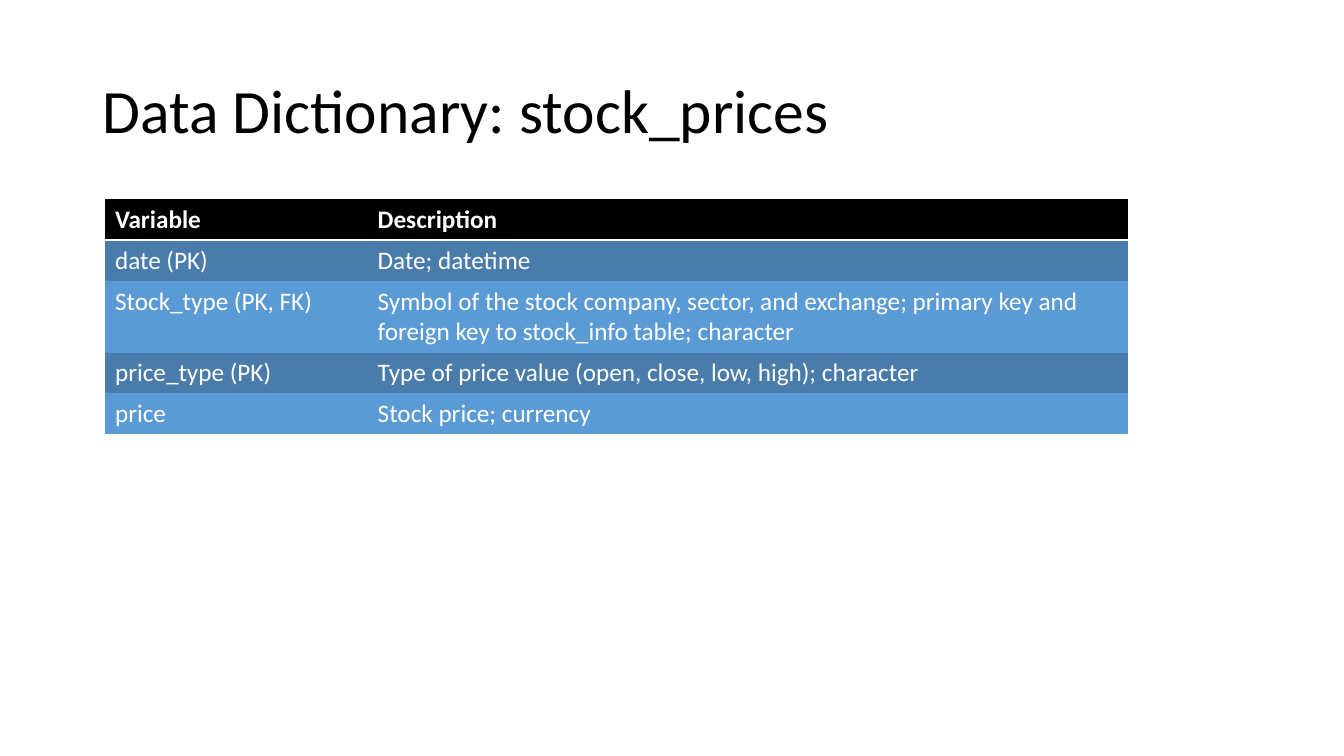
from lxml.etree import SubElement
from pptx import Presentation
from pptx.dml.color import RGBColor
from pptx.enum.text import MSO_ANCHOR, MSO_AUTO_SIZE, PP_ALIGN
from pptx.oxml.ns import qn
from pptx.util import Pt

BLACK = RGBColor(0x00, 0x00, 0x00)
WHITE = RGBColor(0xFF, 0xFF, 0xFF)
DARK_BLUE = RGBColor(0x49, 0x7C, 0xAB)
LIGHT_BLUE = RGBColor(0x5B, 0x9B, 0xD5)
PLAIN_TABLE_STYLE = "{2D5ABB26-0587-4C30-8999-92F81FD0307C}"
LINE_HEIGHT = 21.96
CELL_PADDING = 7.24

VARIABLES = [
    ("Variable", "Description", 1),
    ("date (PK)", "Date; datetime", 1),
    ("Stock_type (PK, FK)",
     "Symbol of the stock company, sector, and exchange; primary key and "
     "foreign key to stock_info table; character", 2),
    ("price_type (PK)", "Type of price value (open, close, low, high); character", 1),
    ("price", "Stock price; currency", 1),
]


class DictionarySlide:
    """Holds the text style and the slide, and adds each kind of element."""

    def __init__(self, presentation, font_name):
        self.slide = presentation.slides.add_slide(presentation.slide_layouts[5])
        self.font_name = font_name

    def add_text(self, paragraph, text, size, color, bold=False):
        run = paragraph.add_run()
        run.text = text
        run.font.name = self.font_name
        run.font.size = Pt(size)
        run.font.bold = bold
        run.font.color.rgb = color

    def add_title(self, text, left, top, width, height):
        title = self.slide.shapes.title
        title.left, title.top = Pt(left), Pt(top)
        title.width, title.height = Pt(width), Pt(height)
        frame = title.text_frame
        frame.word_wrap = True
        frame.auto_size = MSO_AUTO_SIZE.NONE
        frame.vertical_anchor = MSO_ANCHOR.MIDDLE
        paragraph = frame.paragraphs[0]
        paragraph.alignment = PP_ALIGN.LEFT
        paragraph.line_spacing = 0.9
        self.add_text(paragraph, text, 44, BLACK)

    def add_bottom_border(self, cell, color, width):
        properties = cell._tc.get_or_add_tcPr()
        border = SubElement(properties, qn("a:lnB"), w=str(Pt(width)))
        fill = SubElement(border, qn("a:solidFill"))
        SubElement(fill, qn("a:srgbClr"), val=str(color))
        properties.insert(0, border)

    def add_table(self, rows, left, top, column_widths):
        heights = [CELL_PADDING + LINE_HEIGHT * lines for *_, lines in rows]
        frame = self.slide.shapes.add_table(
            len(rows), len(column_widths), Pt(left), Pt(top),
            Pt(sum(column_widths)), Pt(sum(heights)))
        frame.element.xpath(".//a:tableStyleId")[0].text = PLAIN_TABLE_STYLE
        table = frame.table
        table.horz_banding = False
        for column, width in zip(table.columns, column_widths):
            column.width = Pt(width)
        for row_index, (*texts, _) in enumerate(rows):
            table.rows[row_index].height = Pt(heights[row_index])
            is_header = row_index == 0
            band = DARK_BLUE if row_index % 2 else LIGHT_BLUE
            for column_index, text in enumerate(texts):
                cell = table.cell(row_index, column_index)
                cell.fill.solid()
                cell.fill.fore_color.rgb = BLACK if is_header else band
                self.add_text(cell.text_frame.paragraphs[0], text, 18, WHITE, is_header)
                if is_header:
                    self.add_bottom_border(cell, WHITE, 2)


def main():
    presentation = Presentation()
    presentation.slide_width, presentation.slide_height = Pt(960), Pt(540)
    page = DictionarySlide(presentation, "Calibri")
    page.add_title("Data Dictionary: stock_prices", 66, 28.75, 828, 104.4)
    page.add_table(VARIABLES, 75, 142.3, (187.6, 542.9))
    presentation.save("out.pptx")


if __name__ == "__main__":
    main()
